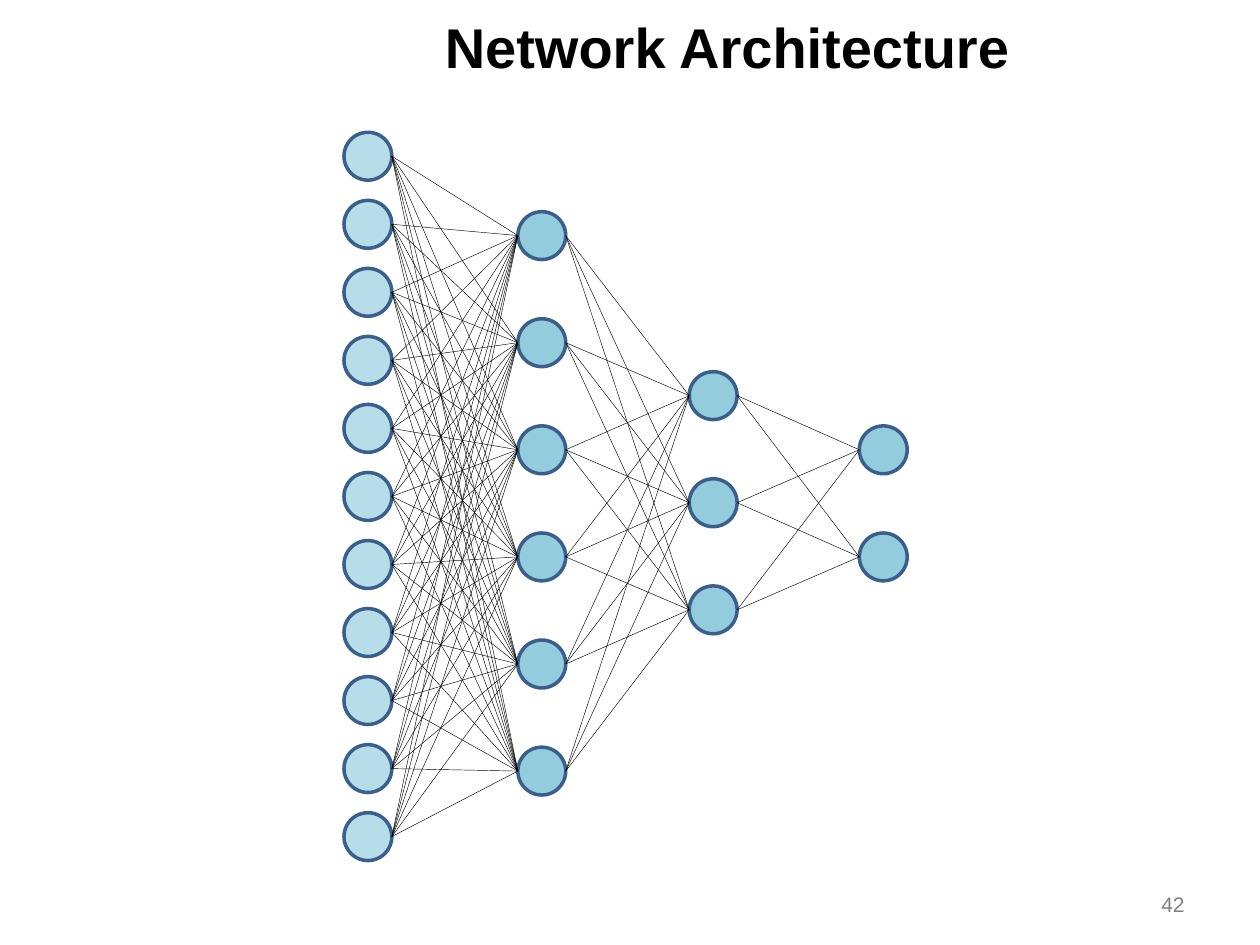
from itertools import product

from lxml import etree
from pptx import Presentation
from pptx.dml.color import RGBColor
from pptx.enum.shapes import MSO_CONNECTOR, MSO_SHAPE
from pptx.enum.text import MSO_ANCHOR, PP_ALIGN
from pptx.oxml.ns import qn
from pptx.util import Inches, Pt

OVAL = MSO_SHAPE.OVAL
LINE = MSO_CONNECTOR.STRAIGHT
MIDDLE = MSO_ANCHOR.MIDDLE
LEFT, RIGHT = PP_ALIGN.LEFT, PP_ALIGN.RIGHT

THEME = {
    "font": "Arial",
    "title": RGBColor(0x00, 0x00, 0x00),
    "page": RGBColor(0x80, 0x80, 0x80),
    "input": RGBColor(0xB7, 0xDE, 0xE8),
    "node": RGBColor(0x93, 0xCD, 0xDD),
    "rim": RGBColor(0x3A, 0x5F, 0x8C),
    "edge": RGBColor(0x00, 0x00, 0x00),
    "title_size": Pt(32),
    "page_size": Pt(12),
    "rim_width": Pt(2),
    "edge_width": Pt(0.25),
}
SIZE = 0.38

# Layers: left, first top, step, node count, fill
LAYERS = [
    (2.73, 1.05, 0.54, 11, THEME["input"]),
    (4.11, 1.68, 0.85, 6, THEME["node"]),
    (5.47, 2.95, 0.85, 3, THEME["node"]),
    (6.82, 3.38, 0.85, 2, THEME["node"]),
]


def write(shape, text, size, color, align, bold=False):
    frame = shape.text_frame
    frame.text = text
    frame.word_wrap = True
    frame.vertical_anchor = MIDDLE
    para = frame.paragraphs[0]
    para.alignment = align
    font = para.runs[0].font
    font.name = THEME["font"]
    font.size = size
    font.bold = bold
    font.color.rgb = color
    return para


deck = Presentation()
deck.slide_width, deck.slide_height = Inches(10), Inches(7.5)
slide = deck.slides.add_slide(deck.slide_layouts[5])

# Title
title = slide.shapes.title
title.left, title.top = Inches(3.43), Inches(0)
title.width, title.height = Inches(6.07), Inches(0.71)
para = write(title, "Network Architecture", THEME["title_size"],
             THEME["title"], LEFT, bold=True)
para.line_spacing = Pt(40)

# Page number
page = slide.shapes.add_textbox(Inches(8.72), Inches(7), Inches(0.78), Inches(0.35))
write(page, "42", THEME["page_size"], THEME["page"], RIGHT)

# Nodes, layer by layer
net = slide.shapes.add_group_shape()
layers = []
for left, top, step, count, fill in LAYERS:
    nodes = []
    for i in range(count):
        node = net.shapes.add_shape(OVAL, Inches(left), Inches(top + i * step),
                                    Inches(SIZE), Inches(SIZE))
        node.shadow.inherit = False
        node.fill.solid()
        node.fill.fore_color.rgb = fill
        node.line.color.rgb = THEME["rim"]
        node.line.width = THEME["rim_width"]
        nodes.append(node)
    layers.append(nodes)

# Edges: every node to every node of the next layer
for near, far in zip(layers, layers[1:]):
    for a, b in product(near, far):
        edge = net.shapes.add_connector(LINE, a.left + a.width, a.top + a.height // 2,
                                        b.left, b.top + b.height // 2)
        edge.line.color.rgb = THEME["edge"]
        edge.line.width = THEME["edge_width"]
        etree.SubElement(edge._element.spPr, qn("a:effectLst"))

deck.save("out.pptx")
